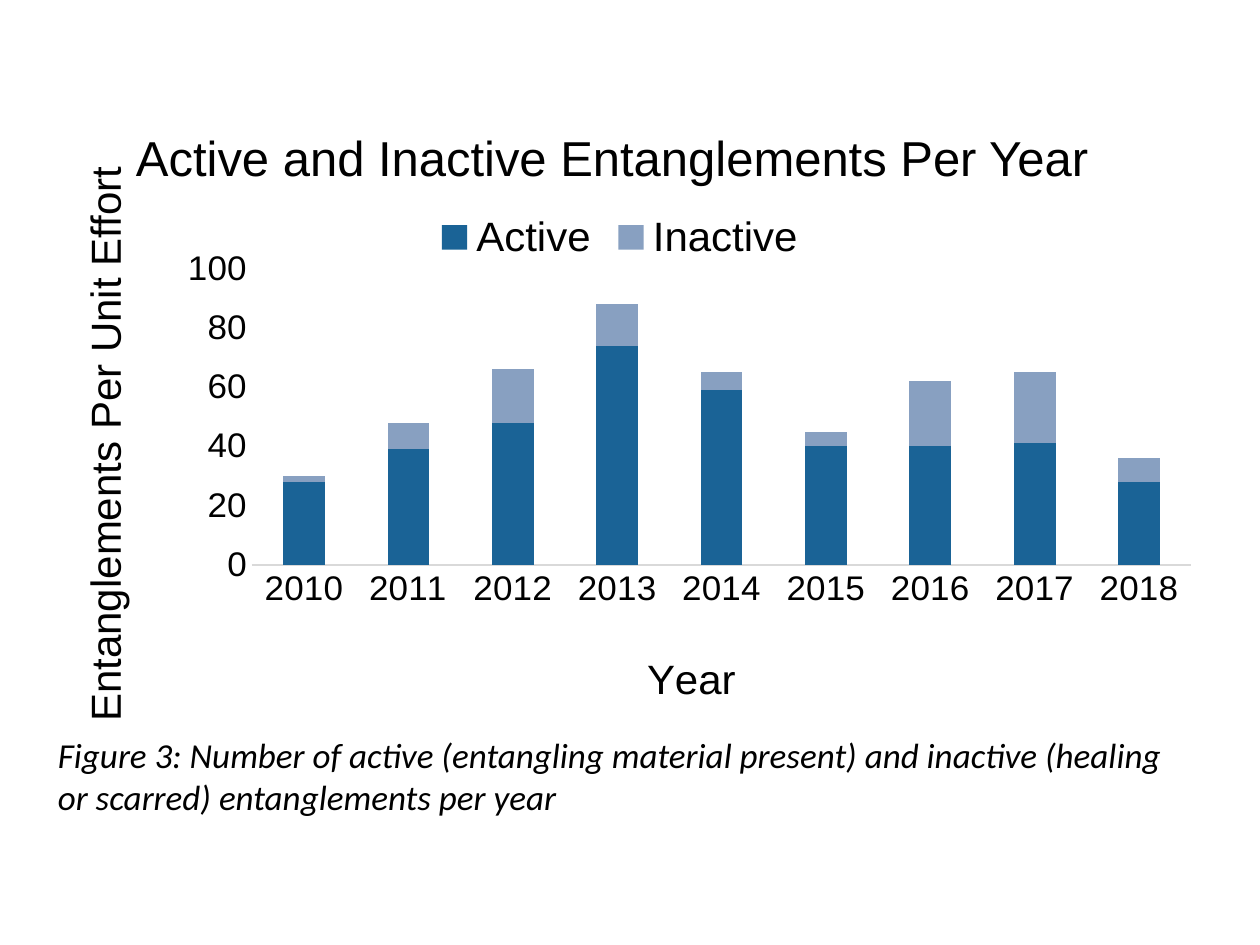
from lxml import etree
from pptx import Presentation
from pptx import util as u
from pptx.chart.data import CategoryChartData
from pptx.dml.color import RGBColor
from pptx.enum import chart as ch, text
from pptx.oxml import ns

COLOURS = {"ink": "000000", "axis": "D9D9D9", "Active": "1A6396", "Inactive": "88A0C1"}
YEARS = [str(year) for year in range(2010, 2019)]
COUNTS = {
    "Active": [28, 39, 48, 74, 59, 40, 40, 41, 28],
    "Inactive": [2, 9, 18, 14, 6, 5, 22, 24, 8],
}


def colour(name):
    return RGBColor.from_string(COLOURS[name])


def set_layout(parent, index, **fractions):
    for old in parent.findall(ns.qn("c:layout")):
        parent.remove(old)
    layout = etree.Element(ns.qn("c:layout"))
    manual = etree.SubElement(layout, ns.qn("c:manualLayout"))
    values = {"xMode": "edge", "yMode": "edge", **fractions}
    if "w" in fractions:
        values = {"layoutTarget": "inner", **values}
    for tag, value in values.items():
        etree.SubElement(manual, ns.qn(f"c:{tag}")).set("val", str(value))
    parent.insert(index, layout)


class FigureSlide:
    """Chart figure slide with its shared type style; lengths are in points."""

    def __init__(self, prs):
        self.slide = prs.slides.add_slide(prs.slide_layouts[5])

    def style(self, font, size, name="Arial", italic=False):
        formats = {"size": u.Pt(size), "name": name, "italic": italic, "bold": False}
        for key, value in formats.items():
            setattr(font, key, value)
        font.color.rgb = colour("ink")

    def fill_text(self, shape, box, words, size, wrap=False, **font):
        for key, value in zip(("left", "top", "width", "height"), box):
            setattr(shape, key, u.Pt(value))
        frame = shape.text_frame
        frame.text = words
        formats = {
            "word_wrap": wrap,
            "auto_size": text.MSO_AUTO_SIZE.SHAPE_TO_FIT_TEXT,
            "vertical_anchor": text.MSO_ANCHOR.TOP,
        }
        for key, value in formats.items():
            setattr(frame, key, value)
        paragraph = frame.paragraphs[0]
        paragraph.alignment = text.PP_ALIGN.LEFT
        self.style(paragraph.runs[0].font, size, **font)

    def title(self, box, words, size):
        self.fill_text(self.slide.shapes.title, box, words, size)

    def label(self, box, words, size, rotation=0, **options):
        shape = self.slide.shapes.add_textbox(0, 0, 0, 0)
        self.fill_text(shape, box, words, size, **options)
        shape.rotation = rotation

    def stacked_chart(self, box, categories, series, axis_title):
        data = CategoryChartData()
        data.categories = categories
        for name, values in series.items():
            data.add_series(name, values)
        chart = self.slide.shapes.add_chart(
            ch.XL_CHART_TYPE.COLUMN_STACKED, *map(u.Pt, box), data
        ).chart
        self.style(chart.font, 10, "Calibri")
        chart.has_title = False

        plot = chart.plots[0]
        formats = {"gap_width": 150, "overlap": 100, "vary_by_categories": False}
        for key, value in formats.items():
            setattr(plot, key, value)
        for bars in plot.series:
            bars.format.fill.solid()
            bars.format.fill.fore_color.rgb = colour(bars.name)

        years, effort = chart.category_axis, chart.value_axis
        for axis in (years, effort):
            axis.major_tick_mark = axis.minor_tick_mark = ch.XL_TICK_MARK.NONE
            axis.has_major_gridlines = False
            self.style(axis.tick_labels.font, 20)
        for key, value in {"minimum_scale": 0, "maximum_scale": 100, "major_unit": 20}.items():
            setattr(effort, key, value)
        effort.format.line.fill.background()
        years.format.line.color.rgb = colour("axis")
        years.format.line.width = u.Pt(0.75)

        heading = years.axis_title
        heading.text_frame.text = axis_title
        self.style(heading.text_frame.paragraphs[0].runs[0].font, 24)

        chart.has_legend = True
        legend = chart.legend
        legend.position = ch.XL_LEGEND_POSITION.TOP
        legend.include_in_layout = False
        self.style(legend.font, 24)

        plot_area = chart.element.find(".//" + ns.qn("c:plotArea"))
        set_layout(plot_area, 0, x=0.19, y=0.24, w=0.8, h=0.52)
        set_layout(plot_area.find(".//" + ns.qn("c:title")), 1, x=0.52, y=0.9)
        set_layout(chart.element.find(".//" + ns.qn("c:legend")), 1, x=0.34, y=0.13)


def main():
    prs = Presentation()
    prs.slide_width, prs.slide_height = u.Pt(720), u.Pt(540)
    figure = FigureSlide(prs)
    figure.title((70.5, 69, 562.5, 41), "Active and Inactive Entanglements Per Year", 28)
    figure.stacked_chart((16.5, 75.5, 671, 333.5), YEARS, COUNTS, "Year")
    figure.label(
        (26, 415.5, 661.5, 55.5),
        "Figure 3: Number of active (entangling material present) and inactive "
        "(healing or scarred) entanglements per year",
        20, wrap=True, name="Calibri", italic=True,
    )
    figure.label((-108, 234, 335, 36), "Entanglements Per Unit Effort", 24, rotation=270)
    prs.save("out.pptx")


if __name__ == "__main__":
    main()
